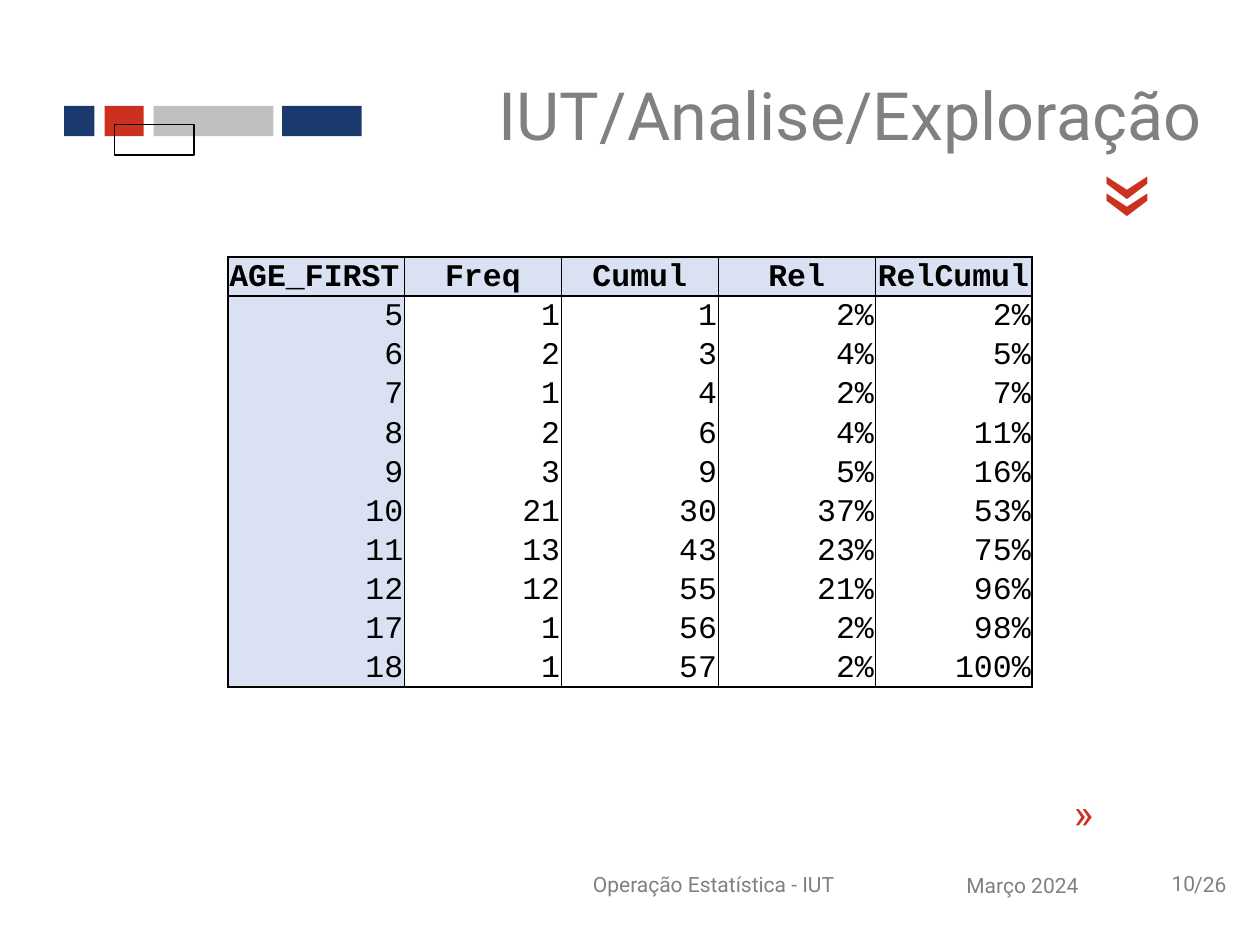
from lxml.etree import SubElement as Sub
from pptx import Presentation
from pptx.dml.color import RGBColor as Rgb
from pptx.enum.shapes import MSO_SHAPE as Shape
from pptx.enum.text import MSO_ANCHOR as Anchor, MSO_AUTO_SIZE as Auto, PP_ALIGN as Align
from pptx.oxml.ns import qn
from pptx.util import Inches, Pt

NAVY, RED, SILVER, GRAY = "1A3A6E", "CC301F", "C0C0C0", "808080"
BLACK, PALE = "000000", "D9E1F2"
HEADS = ["AGE_FIRST", "Freq", "Cumul", "Rel", "RelCumul"]
ROWS = [
    (5, 1, 1, "2%", "2%"),
    (6, 2, 3, "4%", "5%"),
    (7, 1, 4, "2%", "7%"),
    (8, 2, 6, "4%", "11%"),
    (9, 3, 9, "5%", "16%"),
    (10, 21, 30, "37%", "53%"),
    (11, 13, 43, "23%", "75%"),
    (12, 12, 55, "21%", "96%"),
    (17, 1, 56, "2%", "98%"),
    (18, 1, 57, "2%", "100%"),
]


def color(code):
    """Turn a hex string into a colour."""
    return Rgb.from_string(code)


def style(frame, size, tint, align=Align.LEFT, face="Roboto", bold=False):
    """Format the only paragraph of a text frame."""
    para = frame.paragraphs[0]
    para.alignment = align
    for run in para.runs:
        font = run.font
        font.name, font.size, font.bold = face, Pt(size), bold
        font.color.rgb = color(tint)


def bar(slide, left, top, width, height, fill=None):
    """Draw a filled bar, or an outlined one when no fill is given."""
    shape = slide.shapes.add_shape(Shape.RECTANGLE, left, top, width, height)
    shape.shadow.inherit = False
    if fill:
        shape.fill.solid()
        shape.fill.fore_color.rgb = color(fill)
        shape.line.fill.background()
    else:
        shape.fill.background()
        shape.line.color.rgb = color(BLACK)
        shape.line.width = Pt(0.75)


def label(slide, text, box, size=12, tint=GRAY, align=Align.LEFT,
          anchor=Anchor.MIDDLE, turn=0):
    """Place one line of text in a box."""
    shape = slide.shapes.add_textbox(*map(Inches, box))
    shape.rotation = turn
    frame = shape.text_frame
    frame.word_wrap = True
    frame.vertical_anchor = anchor
    frame.text = text
    style(frame, size, tint, align)


def emblem(slide, left, top):
    """Draw the row of bars and the outlined bar below it."""
    high = Inches(0.24)
    parts = [(0, 0.24, NAVY), (0.32, 0.31, RED), (0.71, 0.95, SILVER), (1.73, 0.63, NAVY)]
    for shift, width, fill in parts:
        bar(slide, left + Inches(shift), top, Inches(width), high, fill)
    bar(slide, left + Inches(0.4), top + Inches(0.15), Inches(0.63), high)


def header(slide, left, top, width, height):
    """Place the title and the chevron below it."""
    title = slide.shapes.title
    title.left, title.top, title.width, title.height = left, top, width, height
    frame = title.text_frame
    frame.text = "IUT/Analise/Exploração"
    frame.auto_size = Auto.NONE
    frame.vertical_anchor = Anchor.MIDDLE
    style(frame, 38, GRAY, Align.RIGHT)
    label(slide, "«", (8.56, 1.03, 0.55, 1.1), 60, RED, anchor=Anchor.TOP, turn=270)


def edge(cell, widths):
    """Set left, right, top and bottom borders; zero means none."""
    props = cell._tc.get_or_add_tcPr()
    for side, width in zip("LRTB", widths):
        line = Sub(props, qn(f"a:ln{side}"), w=str(Pt(width)))
        if width:
            fill = Sub(line, qn("a:solidFill"))
            Sub(fill, qn("a:srgbClr"), val=BLACK)
        else:
            Sub(line, qn("a:noFill"))


def grid(slide, left, top, width, height):
    """Build the frequency table."""
    data = [HEADS, *ROWS]
    last, end = len(data) - 1, len(HEADS) - 1
    table = slide.shapes.add_table(len(data), len(HEADS), left, top, width, height).table
    table.first_row = table.horz_banding = False
    first = Inches(1.4)
    for col, part in enumerate(table.columns):
        part.width = (width - first) // end if col else first
    for row, values in enumerate(data):
        table.rows[row].height = height // len(data)
        for col, value in enumerate(values):
            cell = table.cell(row, col)
            cell.text = str(value)
            cell.margin_left = cell.margin_right = cell.margin_top = Inches(0.01)
            cell.margin_bottom = 0
            cell.vertical_anchor = Anchor.BOTTOM
            edge(cell, (1 if col < 2 else 0.5, 1 if col in (0, end) else 0.5,
                        1 if row < 2 else 0, 1 if row in (0, last) else 0))
            if row and col:
                cell.fill.background()
            else:
                cell.fill.solid()
                cell.fill.fore_color.rgb = color(PALE)
            align = Align.RIGHT if row else Align.CENTER if col else Align.LEFT
            style(cell.text_frame, 18, BLACK, align, "Courier New", not row)


def footer(slide):
    """Place the footer texts, the page number and the small chevron."""
    label(slide, "/26", (9.38, 6.74, 0.6, 0.55))
    label(slide, "Operação Estatística - IUT", (4.13, 6.74, 3.07, 0.55), align=Align.CENTER)
    label(slide, "Março 2024", (7.2, 6.75, 1.83, 0.55), align=Align.CENTER)
    label(slide, "«", (8.27, 6.28, 0.51, 0.5), 24, RED, anchor=Anchor.TOP, turn=180)
    label(slide, "10", (9.2, 6.86, 0.44, 0.3), anchor=Anchor.TOP)


def main():
    """Build and save the slide."""
    deck = Presentation()
    deck.slide_width, deck.slide_height = Inches(10), Inches(7.5)
    slide = deck.slides.add_slide(deck.slide_layouts[5])
    emblem(slide, Inches(0.51), Inches(0.84))
    header(slide, Inches(3.03), Inches(0.44), Inches(6.61), Inches(0.93))
    grid(slide, Inches(1.81), Inches(2.04), Inches(6.38), Inches(3.41))
    footer(slide)
    deck.save("out.pptx")


if __name__ == "__main__":
    main()
